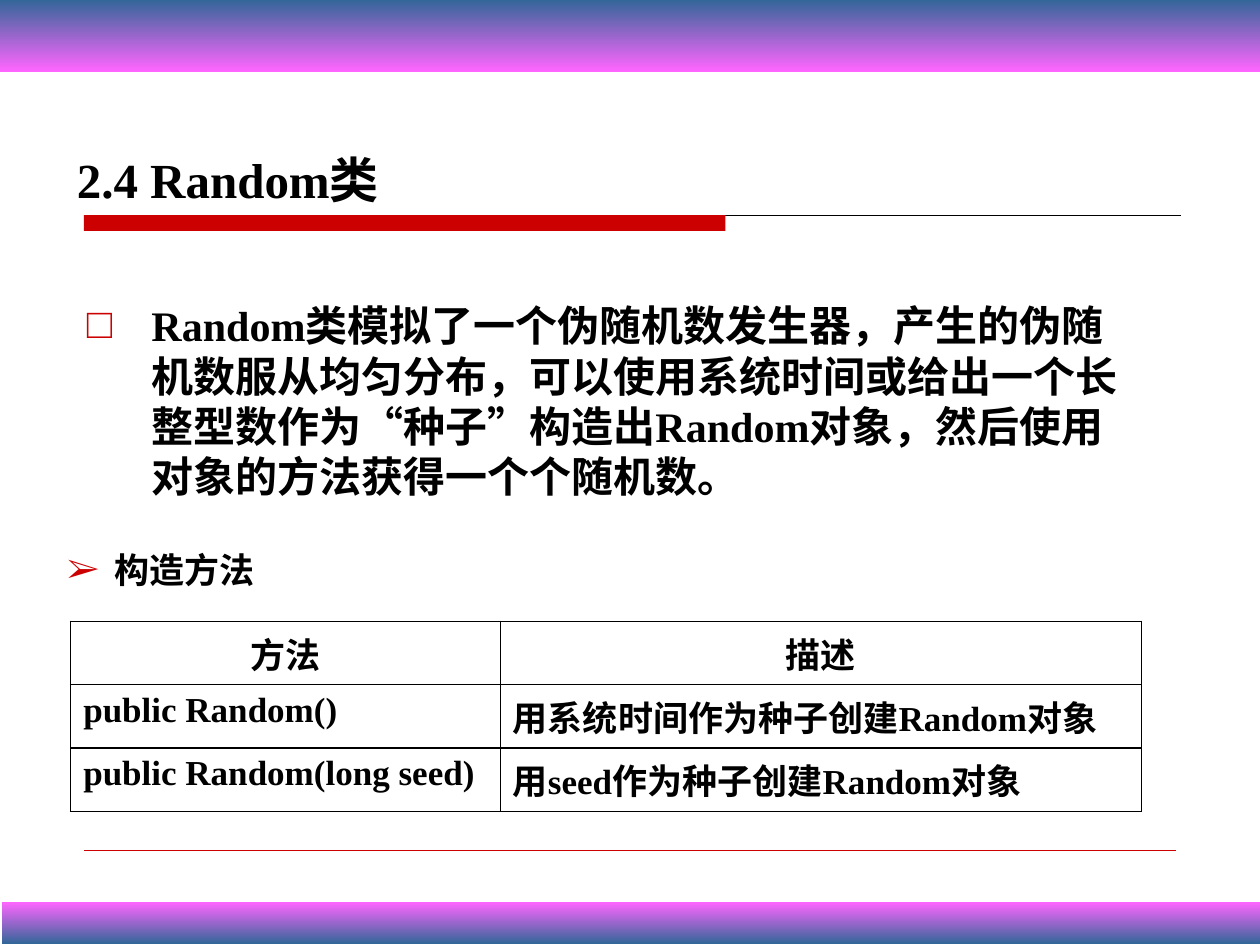
import dataclasses

import pptx
import pptx.dml.color
import pptx.enum.shapes
import pptx.enum.text
import pptx.oxml
import pptx.oxml.ns
import pptx.util

Pt = pptx.util.Pt


@dataclasses.dataclass(frozen=True)
class Theme:
    font: str = "Times New Roman"
    ink: str = "000000"
    red: str = "CC0000"
    blue: str = "336699"
    pink: str = "FF66FF"
    title_size: int = 28
    body_size: int = 24
    small_size: int = 20


THEME = Theme()


def color(value):
    return pptx.dml.color.RGBColor.from_string(value)


def add_element(parent, tag, **attributes):
    element = pptx.oxml.parse_xml(f"<a:{tag} {pptx.oxml.ns.nsdecls('a')}/>")
    for name, value in attributes.items():
        element.set(name, str(value))
    parent.append(element)
    return element


def style_paragraph(para, size):
    para.font.name = THEME.font
    para.font.size = Pt(size)
    para.font.bold = True
    para.font.color.rgb = color(THEME.ink)


def add_bar(page, left, top, width, height):
    bar = page.shapes.add_shape(
        pptx.enum.shapes.MSO_SHAPE.RECTANGLE, Pt(left), Pt(top), Pt(width), Pt(height))
    bar.shadow.inherit = False
    bar.line.fill.background()
    return bar


def add_gradient_band(page, left, top, height, colors):
    band = add_bar(page, left, top, 720, height)
    band.fill.gradient()
    band.fill.gradient_angle = 270
    for stop, value in zip(band.fill.gradient_stops, colors):
        stop.color.rgb = color(value)


def add_rule(page, left, right, y, value, width):
    rule = page.shapes.add_connector(
        pptx.enum.shapes.MSO_CONNECTOR.STRAIGHT, Pt(left), Pt(y), Pt(right), Pt(y))
    rule.line.color.rgb = color(value)
    rule.line.width = Pt(width)
    add_element(rule._element.spPr, "effectLst")


def set_title(page, text):
    title = page.shapes.title
    title.left, title.top, title.width, title.height = Pt(36.7), Pt(74), Pt(471), Pt(47.5)
    frame = title.text_frame
    frame.text = text
    frame.word_wrap = True
    frame.vertical_anchor = pptx.enum.text.MSO_ANCHOR.BOTTOM
    para = frame.paragraphs[0]
    para.alignment = pptx.enum.text.PP_ALIGN.LEFT
    para.line_spacing = 0.7
    style_paragraph(para, THEME.title_size)


def add_bullet_text(page, bounds, text, bullet, indent, size):
    box = page.shapes.add_textbox(*map(Pt, bounds))
    box.text_frame.word_wrap = True
    para = box.text_frame.paragraphs[0]
    para.text = text
    properties = para._p.get_or_add_pPr()
    properties.set("marL", str(Pt(indent)))
    properties.set("indent", str(-Pt(indent)))
    add_element(add_element(properties, "buClr"), "srgbClr", val=THEME.red)
    add_element(properties, "buFont", typeface=THEME.font)
    add_element(properties, "buChar", char=bullet)
    style_paragraph(para, size)


def set_borders(cell):
    properties = cell._tc.get_or_add_tcPr()
    for position, side in enumerate(("lnL", "lnR", "lnT", "lnB")):
        line = add_element(properties, side, w=Pt(1))
        add_element(add_element(line, "solidFill"), "srgbClr", val=THEME.ink)
        properties.remove(line)
        properties.insert(position, line)


def add_method_table(page, left, top, widths, row_height, rows):
    table = page.shapes.add_table(
        len(rows), len(widths), Pt(left), Pt(top),
        Pt(sum(widths)), Pt(row_height * len(rows))).table
    for column, width in zip(table.columns, widths):
        column.width = Pt(width)
    for row_index, texts in enumerate(rows):
        table.rows[row_index].height = Pt(row_height)
        for column_index, text in enumerate(texts):
            cell = table.cell(row_index, column_index)
            cell.text = text
            cell.fill.background()
            set_borders(cell)
            para = cell.text_frame.paragraphs[0]
            if row_index == 0:
                para.alignment = pptx.enum.text.PP_ALIGN.CENTER
            style_paragraph(para, THEME.small_size)


def main():
    deck = pptx.Presentation()
    deck.slide_width, deck.slide_height = Pt(720), Pt(540)
    page = deck.slides.add_slide(deck.slide_layouts[5])

    # Gradient bands at the page edges
    add_gradient_band(page, 0, 0, 41, (THEME.blue, THEME.pink))
    add_gradient_band(page, 1.2, 515.5, 23.8, (THEME.pink, THEME.blue))

    # Title with its bar, and the rules
    set_title(page, "2.4 Random类")
    add_rule(page, 48, 675, 123, THEME.ink, 0.75)
    bar = add_bar(page, 48, 123, 366.5, 9)
    bar.fill.solid()
    bar.fill.fore_color.rgb = color(THEME.red)
    add_rule(page, 48, 672, 486, THEME.red, 0.25)

    # Explanation and table heading
    add_bullet_text(
        page, (42.5, 167.7, 613, 132),
        "Random类模拟了一个伪随机数发生器，产生的伪随机数服从均匀分布，"
        "可以使用系统时间或给出一个长整型数作为“种子”构造出Random对象，"
        "然后使用对象的方法获得一个个随机数。",
        "□", 37, THEME.body_size)
    add_bullet_text(page, (31.3, 310, 349, 34), "构造方法", "➢", 27, THEME.small_size)

    # Constructors
    add_method_table(page, 40.4, 355, (245.5, 366.5), 36.2, (
        ("方法", "描述"),
        ("public Random()", "用系统时间作为种子创建Random对象"),
        ("public Random(long seed)", "用seed作为种子创建Random对象"),
    ))

    deck.save("out.pptx")


if __name__ == "__main__":
    main()
